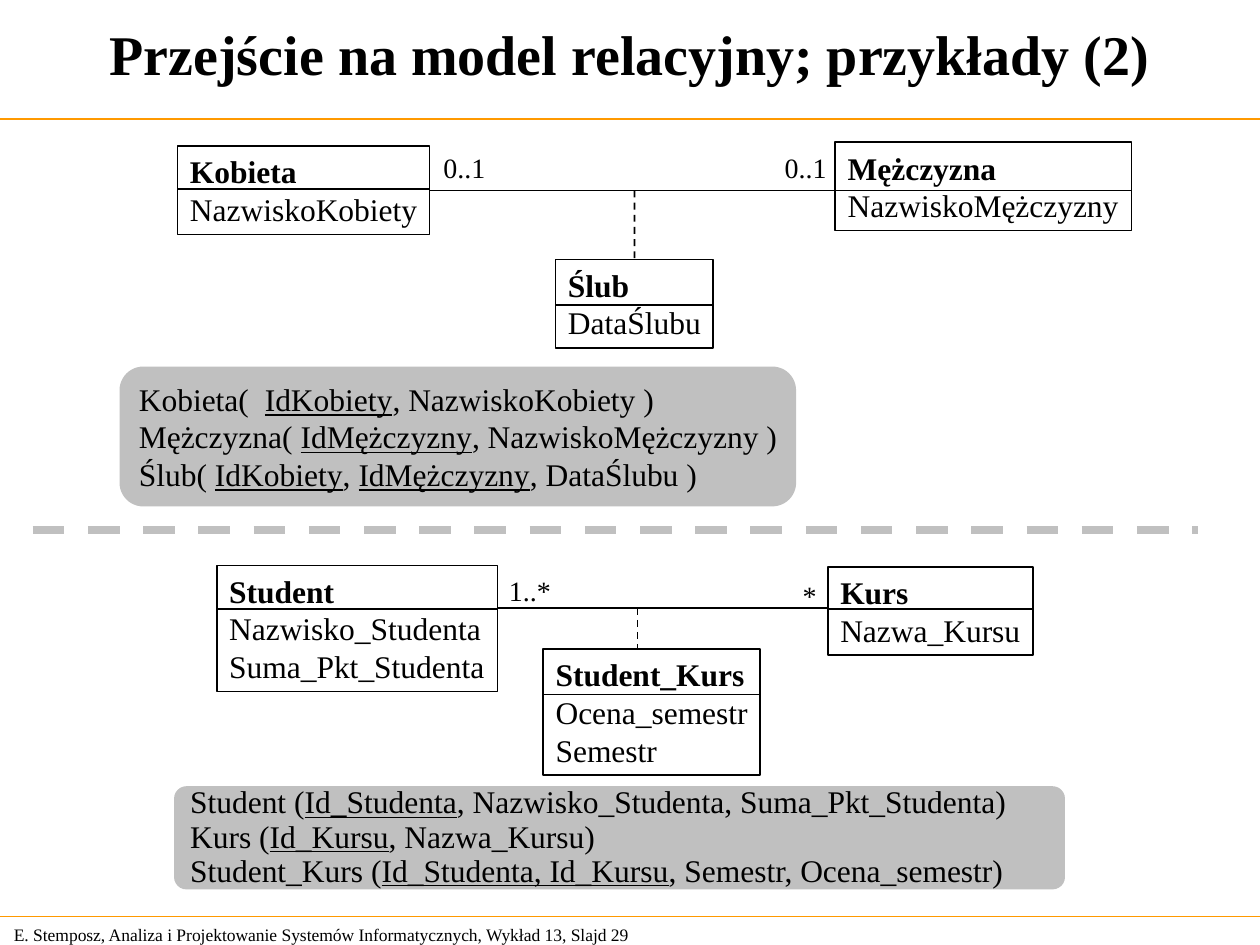
from dataclasses import dataclass

from lxml.etree import SubElement
from pptx import Presentation
from pptx.dml.color import RGBColor
from pptx.enum.dml import MSO_LINE
from pptx.enum.shapes import MSO_CONNECTOR, MSO_SHAPE
from pptx.enum.text import MSO_ANCHOR, MSO_AUTO_SIZE, PP_ALIGN
from pptx.oxml.ns import qn
from pptx.util import Cm, Pt


@dataclass(frozen=True)
class Theme:
    font: str = "Times New Roman"
    ink: RGBColor = RGBColor(0x00, 0x00, 0x00)
    panel: RGBColor = RGBColor(0xC0, 0xC0, 0xC0)
    accent: RGBColor = RGBColor(0xFF, 0x99, 0x00)
    title: int = 32
    body: int = 18
    label: int = 16
    footer: int = 10
    rule_width: float = 0.75
    outline_width: float = 1
    break_width: float = 4.5


THEME = Theme()
SLIDE_WIDTH, SLIDE_HEIGHT = 25.4, 19.05

# All places are in centimetres: left, top, width, height
TITLE = "Przejście na model relacyjny; przykłady (2)"
FOOTER = ("E. Stemposz, Analiza i Projektowanie Systemów Informatycznych, "
          "Wykład 13, Slajd 29")
RULE_TOPS = (2.4, 18.48)
SECTION_BREAK = (0.66, 10.69, 24.16, 10.69)

# Class name, attributes, place, height of the line under the name
CLASSES = [
    ("Kobieta", ["NazwiskoKobiety"], (3.58, 2.95, 5.08, 1.78), 3.81),
    ("Mężczyzna", ["NazwiskoMężczyzny"], (16.84, 2.87, 5.97, 1.78), 3.84),
    ("Ślub", ["DataŚlubu"], (11.2, 5.23, 3.18, 1.78), 6.15),
    ("Student", ["Nazwisko_Studenta", "Suma_Pkt_Studenta"],
     (4.37, 11.4, 5.66, 2.54), 12.27),
    ("Kurs", ["Nazwa_Kursu"], (16.69, 11.43, 4.14, 1.78), 12.27),
    ("Student_Kurs", ["Ocena_semestr", "Semestr"],
     (10.95, 13.08, 4.37, 2.54), 14),
]

MULTIPLICITIES = [
    ("0..1", (8.69, 2.92, 1.35, 0.94)),
    ("0..1", (15.57, 2.92, 1.35, 0.94)),
    ("1..*", (10.01, 11.43, 1.35, 0.94)),
    ("*", (15.93, 11.53, 0.79, 0.94)),
]

# Each relation is cut into pieces: every second piece is an underlined key
MARRIAGE_RELATIONS = [
    ("Kobieta(  ", "IdKobiety", ", NazwiskoKobiety )"),
    ("Mężczyzna( ", "IdMężczyzny", ", NazwiskoMężczyzny )"),
    ("Ślub( ", "IdKobiety", ", ", "IdMężczyzny", ", DataŚlubu )"),
]
COURSE_RELATIONS = [
    ("Student (", "Id_Studenta", ", Nazwisko_Studenta, Suma_Pkt_Studenta)"),
    ("Kurs (", "Id_Kursu", ", Nazwa_Kursu)"),
    ("Student_Kurs (", "Id_Studenta, Id_Kursu", ", Semestr, Ocena_semestr)"),
]


def add_run(paragraph, text, size, bold=False, underline=False):
    run = paragraph.add_run()
    run.text = text
    font = run.font
    font.name, font.size = THEME.font, Pt(size)
    font.bold, font.underline = bold, underline
    font.color.rgb = THEME.ink


def next_paragraph(frame, index, alignment=PP_ALIGN.LEFT):
    paragraph = frame.add_paragraph() if index else frame.paragraphs[0]
    paragraph.alignment = alignment
    return paragraph


def set_frame(shape, anchor=MSO_ANCHOR.TOP):
    """Keep the shape's size and let text run up to its right edge."""
    frame = shape.text_frame
    frame.word_wrap = True
    frame.auto_size = MSO_AUTO_SIZE.NONE
    frame.margin_right = 0
    frame.vertical_anchor = anchor
    return frame


def add_text(slide, text, place, size, bold=False,
             anchor=MSO_ANCHOR.TOP, alignment=PP_ALIGN.LEFT):
    frame = set_frame(slide.shapes.add_textbox(*map(Cm, place)), anchor)
    if alignment == PP_ALIGN.CENTER:
        frame.margin_left = frame.margin_right
    add_run(next_paragraph(frame, 0, alignment), text, size, bold)


def add_line(slide, ends, color=THEME.ink, width=THEME.outline_width, dashed=False):
    line = slide.shapes.add_connector(MSO_CONNECTOR.STRAIGHT, *map(Cm, ends))
    line.line.color.rgb = color
    line.line.width = Pt(width)
    if dashed:
        line.line.dash_style = MSO_LINE.DASH
    SubElement(line._element.spPr, qn("a:effectLst"))
    return line


def add_class(slide, name, attributes, place, divider_top):
    box = slide.shapes.add_shape(MSO_SHAPE.RECTANGLE, *map(Cm, place))
    box.shadow.inherit = False
    box.fill.background()
    box.line.color.rgb = THEME.ink
    box.line.width = Pt(THEME.outline_width)
    frame = set_frame(box)
    for index, text in enumerate([name, *attributes]):
        add_run(next_paragraph(frame, index), text, THEME.body, bold=index == 0)
    left, _, width, _ = place
    add_line(slide, (left, divider_top, left + width, divider_top))
    return box


def add_relations(slide, relations, place, corner,
                  anchor=MSO_ANCHOR.TOP, spacing=1.0):
    panel = slide.shapes.add_shape(MSO_SHAPE.ROUNDED_RECTANGLE, *map(Cm, place))
    panel.adjustments[0] = corner
    panel.shadow.inherit = False
    panel.fill.solid()
    panel.fill.fore_color.rgb = THEME.panel
    panel.line.fill.background()
    frame = set_frame(panel, anchor)
    for index, pieces in enumerate(relations):
        paragraph = next_paragraph(frame, index)
        paragraph.line_spacing = spacing
        for position, piece in enumerate(pieces):
            add_run(paragraph, piece, THEME.body, underline=position % 2 == 1)


def main():
    presentation = Presentation()
    presentation.slide_width = Cm(SLIDE_WIDTH)
    presentation.slide_height = Cm(SLIDE_HEIGHT)
    slide = presentation.slides.add_slide(presentation.slide_layouts[6])

    add_text(slide, FOOTER, (0.03, 18.49, 13.31, 0.69), THEME.footer,
             anchor=MSO_ANCHOR.MIDDLE)
    for top in RULE_TOPS:
        add_line(slide, (0, top, SLIDE_WIDTH, top), THEME.accent, THEME.rule_width)
    add_text(slide, TITLE, (0, 0, SLIDE_WIDTH, 2.16), THEME.title, bold=True,
             anchor=MSO_ANCHOR.MIDDLE, alignment=PP_ALIGN.CENTER)

    boxes = {entry[0]: add_class(slide, *entry) for entry in CLASSES}

    marriage = add_line(slide, (8.66, 3.84, 16.84, 3.84))
    marriage.begin_connect(boxes["Kobieta"], 3)
    wedding_link = add_line(slide, (12.79, 3.84, 12.79, 5.23), dashed=True)
    wedding_link.end_connect(boxes["Ślub"], 0)
    add_line(slide, (10.03, 12.25, 16.69, 12.25))
    add_line(slide, (12.85, 12.25, 12.85, 13.08), dashed=True)

    for text, place in MULTIPLICITIES:
        add_text(slide, text, place, THEME.label)

    add_relations(slide, MARRIAGE_RELATIONS, (2.41, 7.39, 13.64, 2.82), 0.17)
    add_line(slide, SECTION_BREAK, THEME.panel, THEME.break_width, dashed=True)
    add_relations(slide, COURSE_RELATIONS, (3.51, 15.85, 17.96, 2.08), 0.12,
                  anchor=MSO_ANCHOR.MIDDLE, spacing=0.9)

    presentation.save("out.pptx")


if __name__ == "__main__":
    main()
